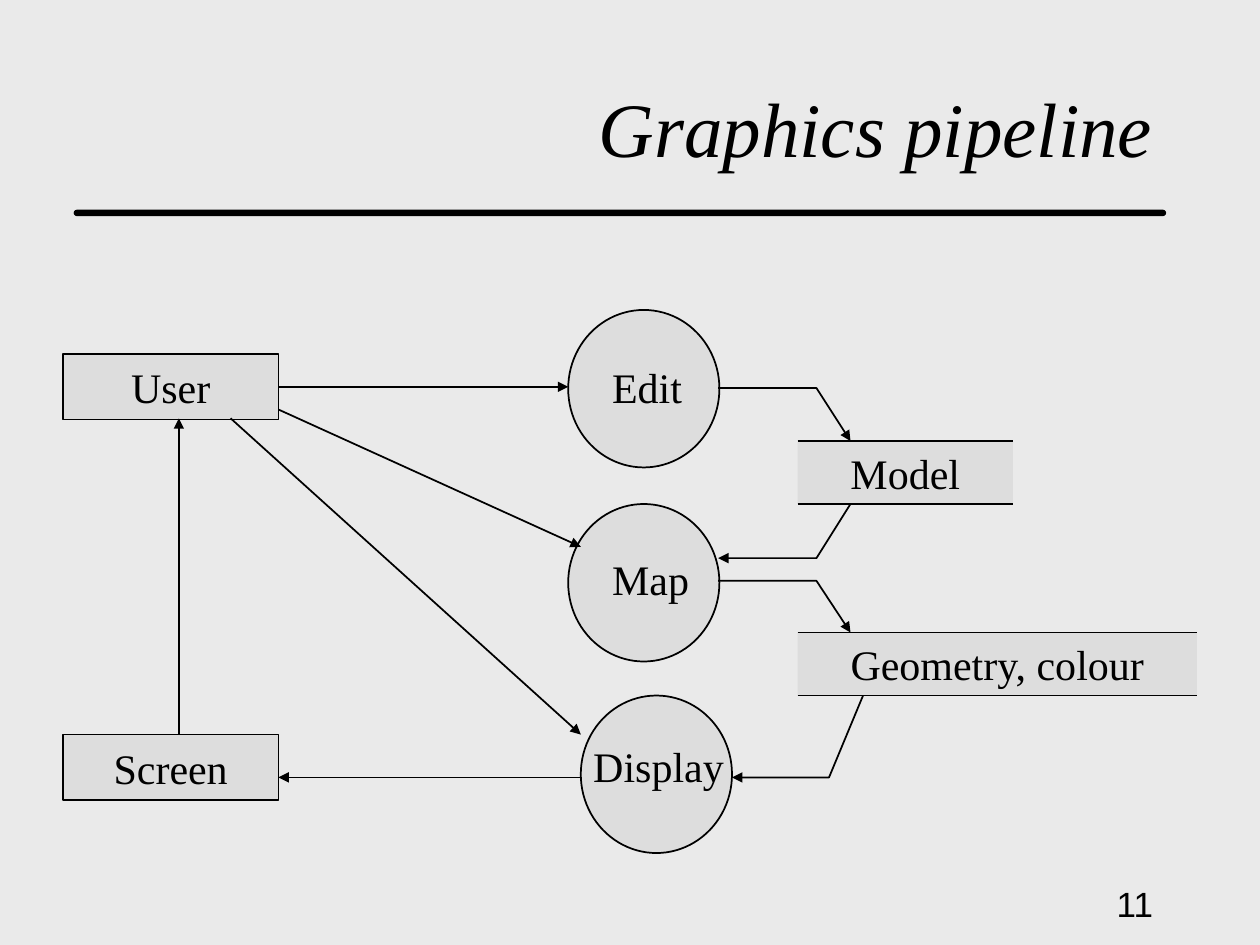
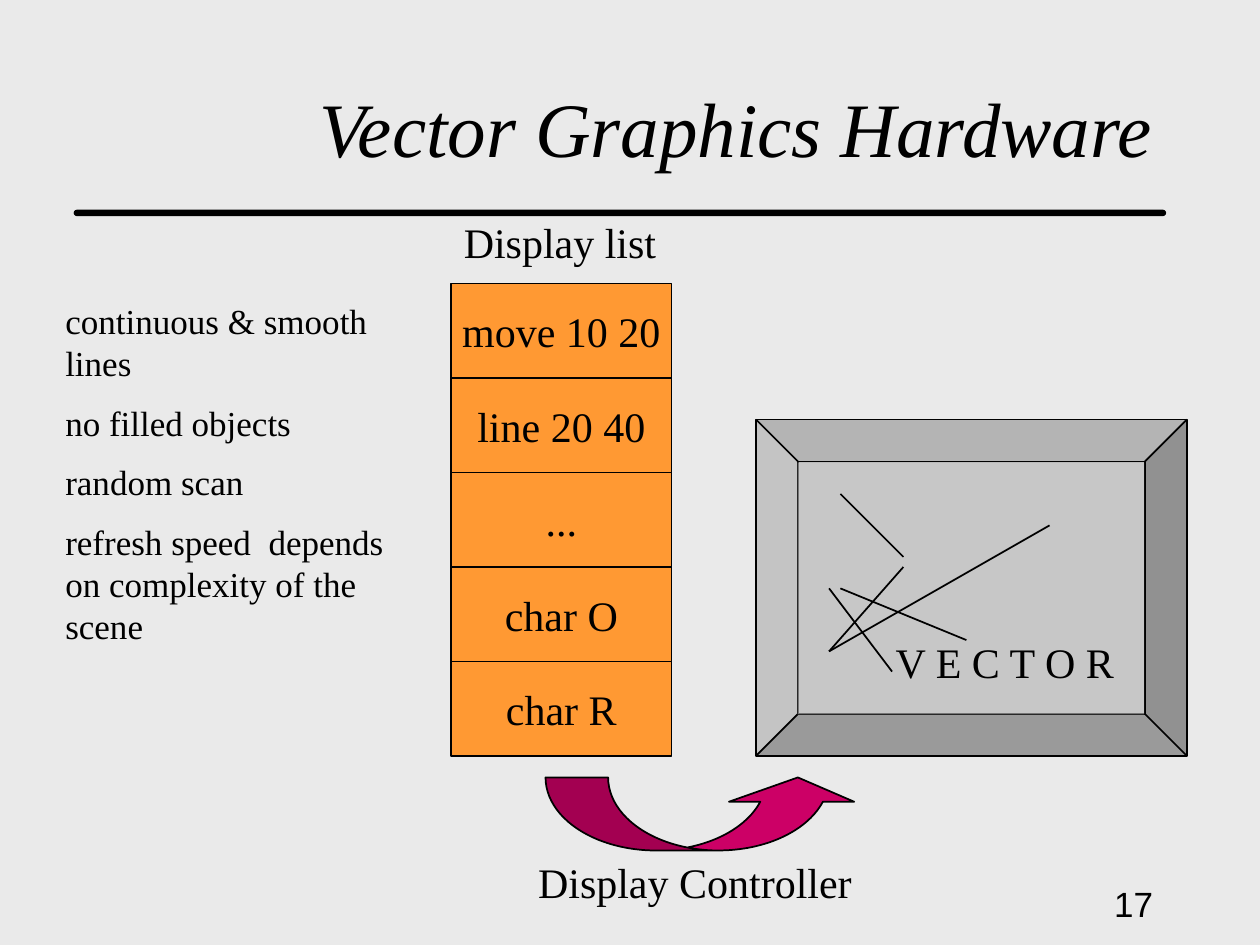
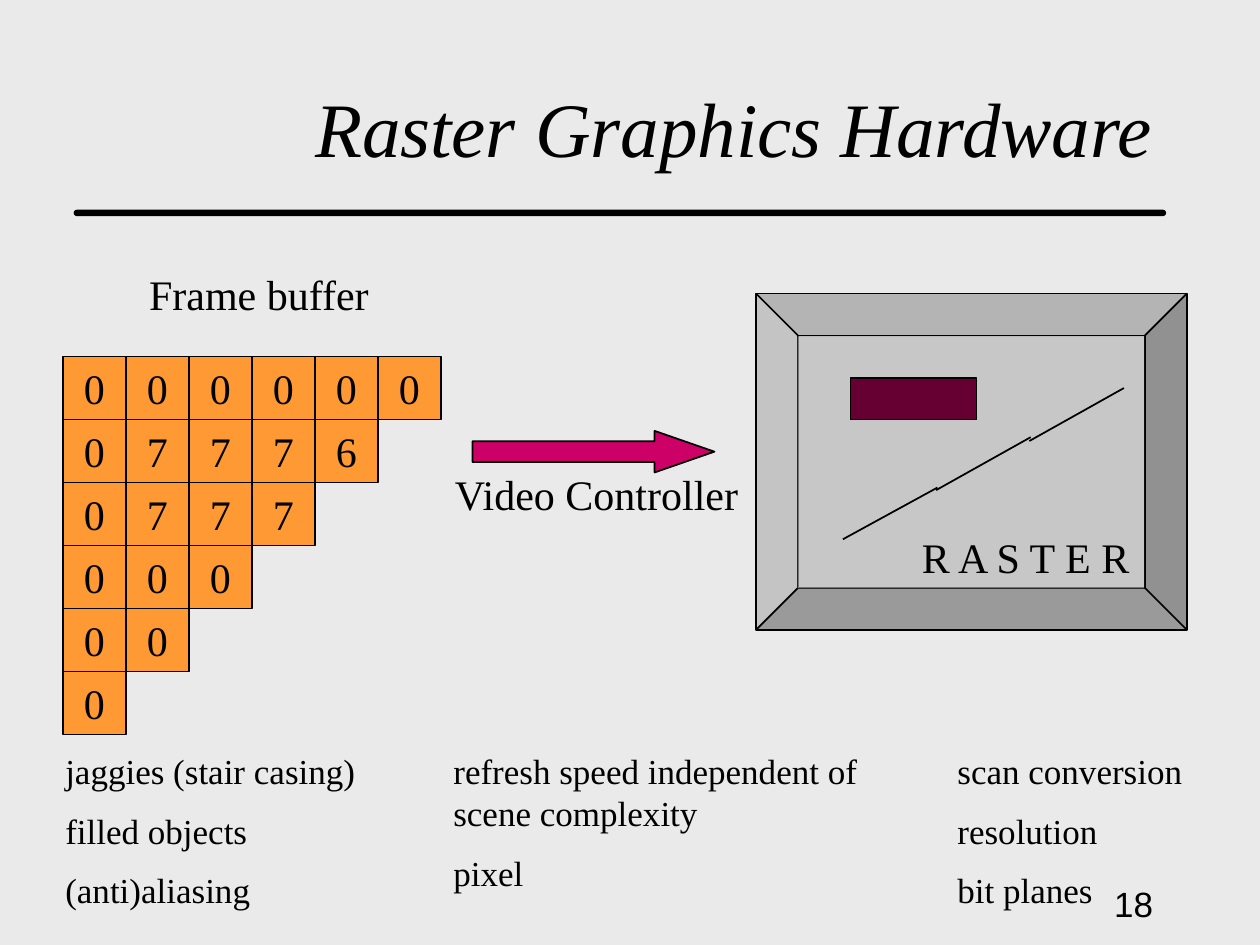
from dataclasses import dataclass

from lxml import etree
from pptx import Presentation
from pptx import util as u
from pptx.dml.color import RGBColor
from pptx.enum import shapes, text
from pptx.oxml.ns import qn


@dataclass(frozen=True)
class Theme:
    background: str = "EAEAEA"
    ink: str = "000000"
    node: str = "DDDDDD"
    cell: str = "FF9933"
    arrow: str = "CC0066"
    bezel: str = "5F5F5F"
    pixels: str = "660033"
    serif: str = "Times New Roman"
    sans: str = "Arial"
    title_size: int = 44
    label_size: int = 24
    note_size: int = 20
    line_width: float = 1


THEME = Theme()
KIND = shapes.MSO_SHAPE
ALIGN = text.PP_ALIGN
ANCHOR = text.MSO_ANCHOR


def inches(*lengths):
    return [u.Inches(length) for length in lengths]


def apply(target, formats):
    for name, value in formats.items():
        setattr(target, name, value)


def write(frame, lines, size=THEME.label_size, font=THEME.serif, italic=False,
          align=ALIGN.CENTER, anchor=ANCHOR.MIDDLE, wrap=False):
    apply(frame, {"word_wrap": wrap, "vertical_anchor": anchor,
                  "auto_size": text.MSO_AUTO_SIZE.NONE})
    for index, line in enumerate(lines):
        paragraph = frame.add_paragraph() if index else frame.paragraphs[0]
        paragraph.alignment = align
        if index:
            paragraph.space_before = u.Pt(size / 2)
        run = paragraph.add_run()
        run.text = line
        apply(run.font, {"name": font, "size": u.Pt(size), "italic": italic})
        run.font.color.rgb = RGBColor.from_string(THEME.ink)


def outline(item, width=THEME.line_width):
    item.line.color.rgb = RGBColor.from_string(THEME.ink)
    item.line.width = u.Pt(width)


def arrowhead(item):
    line = item._element.spPr.find(qn("a:ln"))
    etree.SubElement(line, qn("a:tailEnd"), type="triangle")


def add_block(slide, kind, box, fill, label=None, lined=True, opacity=None, adjust=()):
    block = slide.shapes.add_shape(kind, *inches(*box))
    block.shadow.inherit = False
    block.fill.solid()
    block.fill.fore_color.rgb = RGBColor.from_string(fill)
    for index, value in enumerate(adjust):
        block.adjustments[index] = value
    if opacity:
        colour = block._element.spPr.find(qn("a:solidFill"))[0]
        etree.SubElement(colour, qn("a:alpha"), val=str(opacity * 1000))
    if lined:
        outline(block)
    else:
        block.line.fill.background()
    if label:
        write(block.text_frame, [label])
    return block


def add_text(slide, box, lines, **formats):
    write(slide.shapes.add_textbox(*inches(*box)).text_frame, lines, **formats)


def add_notes_column(slide, box, lines):
    add_text(slide, box, lines, size=THEME.note_size, align=ALIGN.LEFT,
             anchor=ANCHOR.TOP, wrap=True)


def add_line(slide, start, end, arrow=False):
    line = slide.shapes.add_connector(shapes.MSO_CONNECTOR.STRAIGHT, *inches(*start, *end))
    outline(line)
    if arrow:
        arrowhead(line)
    etree.SubElement(line._element.spPr, qn("a:effectLst"))
    return line


def add_bent_arrow(slide, points):
    start, *rest = [inches(*point) for point in points]
    builder = slide.shapes.build_freeform(*start)
    builder.add_line_segments(rest, close=False)
    bend = builder.convert_to_shape()
    bend.shadow.inherit = False
    bend.fill.background()
    outline(bend)
    arrowhead(bend)


def add_process(slide, left, top, label, label_left, label_top):
    add_block(slide, KIND.OVAL, (left, top, 1.2, 1.25), THEME.node)
    add_text(slide, (label_left, label_top, 1.2, 0.5), [label],
             align=ALIGN.LEFT, anchor=ANCHOR.TOP)


def add_store(slide, top, width, label):
    left, height = 6.33, 0.5
    add_block(slide, KIND.RECTANGLE, (left, top, width, height), THEME.node, label, lined=False)
    for edge in (top, top + height):
        add_line(slide, (left, edge), (left + width, edge))


def add_monitor(slide, top):
    add_block(slide, KIND.BEVEL, (6, top, 3.42, 2.67), THEME.bezel, opacity=50, adjust=[0.125])
    add_block(slide, KIND.RECTANGLE, (6.33, top + 0.34, 2.75, 2), THEME.background,
              lined=False, opacity=50)


def add_cells(slide, left, top, width, height, rows):
    for row, values in enumerate(rows):
        for column, value in enumerate(values):
            box = (left + column * width, top + row * height, width, height)
            add_block(slide, KIND.RECTANGLE, box, THEME.cell, value)


def add_slide(deck, title, number):
    slide = deck.slides.add_slide(deck.slide_layouts[5])
    heading = slide.shapes.title
    apply(heading, dict(zip(("left", "top", "width", "height"), inches(0.75, 0.42, 8.5, 1))))
    write(heading.text_frame, [title], size=THEME.title_size, italic=True,
          align=ALIGN.RIGHT, anchor=ANCHOR.BOTTOM, wrap=True)
    rule = add_block(slide, KIND.ROUNDED_RECTANGLE, (0.59, 1.67, 8.66, 0.04),
                     THEME.ink, adjust=[0.5])
    outline(rule, 0.75)
    add_text(slide, (7.17, 6.92, 2.08, 0.5), [number], size=THEME.note_size,
             font=THEME.sans, align=ALIGN.RIGHT)
    return slide


def build_pipeline(deck):
    slide = add_slide(deck, "Graphics pipeline", "11")
    user = add_block(slide, KIND.RECTANGLE, (0.5, 2.81, 1.71, 0.52), THEME.node, "User")
    add_block(slide, KIND.RECTANGLE, (0.5, 5.83, 1.71, 0.52), THEME.node, "Screen")
    add_store(slide, 3.5, 1.71, "Model")
    add_store(slide, 5.02, 3.17, "Geometry, colour")
    add_process(slide, 4.51, 2.46, "Edit", 4.76, 2.82)
    add_process(slide, 4.51, 4, "Map", 4.76, 4.34)
    add_process(slide, 4.61, 5.52, "Display", 4.61, 5.83)
    user_to_edit = add_line(slide, (2.21, 3.07), (4.51, 3.07), arrow=True)
    user_to_edit.begin_connect(user, 3)
    for start, end in (
        ((1.42, 5.83), (1.42, 3.32)),
        ((2.21, 3.25), (4.61, 4.34)),
        ((1.83, 3.32), (4.61, 5.83)),
        ((4.61, 6.17), (2.21, 6.17)),
    ):
        add_line(slide, start, end, arrow=True)
    for points in (
        ((5.7, 3.08), (6.48, 3.08), (6.75, 3.5)),
        ((6.75, 4), (6.48, 4.43), (5.7, 4.43)),
        ((5.7, 4.61), (6.48, 4.61), (6.75, 5.02)),
        ((6.85, 5.52), (6.58, 6.17), (5.81, 6.17)),
    ):
        add_bent_arrow(slide, points)


def build_vector(deck):
    slide = add_slide(deck, "Vector Graphics Hardware", "17")
    add_monitor(slide, 3.33)
    for start, end in (
        ((6.67, 3.92), (7.17, 4.42)),
        ((7.17, 4.5), (6.58, 5.17)),
        ((6.58, 4.67), (7.08, 5.33)),
        ((6.67, 4.67), (7.67, 5.08)),
        ((8.33, 4.17), (6.58, 5.17)),
    ):
        add_line(slide, start, end)
    add_text(slide, (7, 5, 1.95, 0.5), ["V E C T O R"])
    add_block(slide, KIND.CURVED_UP_ARROW, (4.33, 6.17, 2.5, 0.58), THEME.arrow,
              adjust=[0.857, 1.714, 0.333])
    add_text(slide, (4.17, 6.75, 2.69, 0.5), ["Display Controller"])
    commands = ["move 10 20", "line 20 40", "...", "char O", "char R"]
    add_cells(slide, 3.58, 2.25, 1.75, 0.75, [[command] for command in commands])
    add_text(slide, (3.58, 1.67, 1.73, 0.5), ["Display list"])
    add_notes_column(slide, (0.42, 2.33, 2.76, 2.93), [
        "continuous & smooth lines", "no filled objects", "random scan",
        "refresh speed  depends on complexity of the scene"])


def build_raster(deck):
    slide = add_slide(deck, "Raster Graphics Hardware", "18")
    add_monitor(slide, 2.33)
    add_block(slide, KIND.RECTANGLE, (6.75, 3, 1, 0.33), THEME.pixels)
    for start, end in (
        ((8.18, 3.47), (7.43, 3.89)),
        ((8.92, 3.08), (8.17, 3.5)),
        ((7.44, 3.87), (6.69, 4.28)),
    ):
        add_line(slide, start, end)
    add_text(slide, (7.19, 4.17, 1.9, 0.5), ["R A S T E R"])
    add_block(slide, KIND.RIGHT_ARROW, (3.75, 3.42, 1.92, 0.33), THEME.arrow,
              adjust=[0.5, 1.438])
    add_text(slide, (3.5, 3.67, 2.47, 0.5), ["Video Controller"])
    add_text(slide, (1.08, 2.08, 1.95, 0.5), ["Frame buffer"])
    add_cells(slide, 0.5, 2.83, 0.5, 0.5, ["000000", "07776", "0777", "000", "00", "0"])
    for left, width, lines in (
        (0.42, 3.17, ["jaggies (stair casing)", "filled objects", "(anti)aliasing"]),
        (3.5, 3.83, ["refresh speed independent of scene complexity", "pixel"]),
        (7.5, 2.42, ["scan conversion", "resolution", "bit planes"]),
    ):
        add_notes_column(slide, (left, 5.9, width, 1.43), lines)


def main():
    deck = Presentation()
    apply(deck, {"slide_width": u.Inches(10), "slide_height": u.Inches(7.5)})
    backdrop = deck.slide_master.background.fill
    backdrop.solid()
    backdrop.fore_color.rgb = RGBColor.from_string(THEME.background)
    build_pipeline(deck)
    build_vector(deck)
    build_raster(deck)
    deck.save("out.pptx")


if __name__ == "__main__":
    main()
